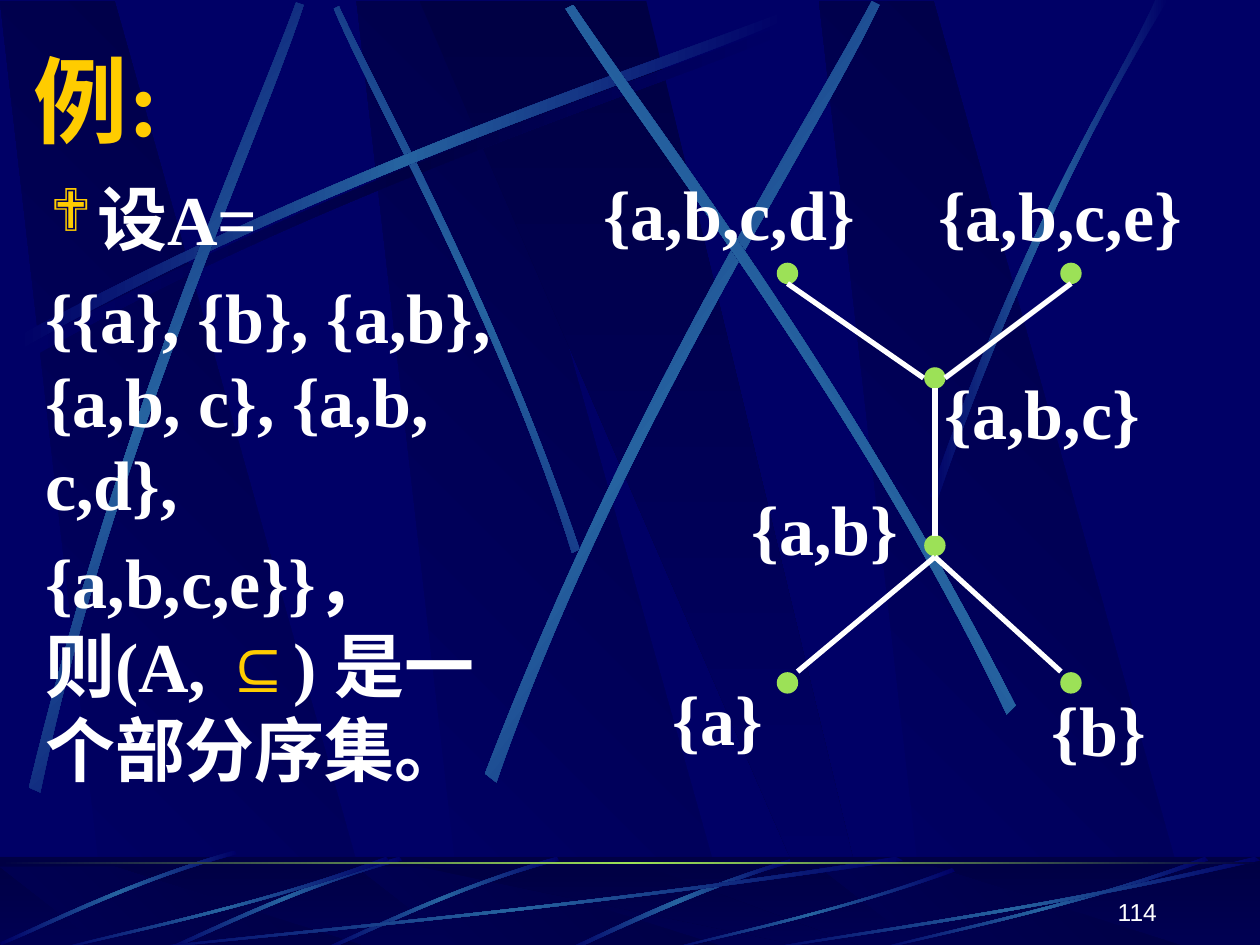
import lxml.etree
import pptx
import pptx.dml.color
import pptx.enum.shapes
import pptx.enum.text
import pptx.oxml.ns
import pptx.util

COLORS = {"navy": "000066", "dark": "000044", "streak": "2663A0", "green": "9CE157",
          "gold": "FFCC00", "white": "FFFFFF"}
SERIF, SANS, CHINESE = "Times New Roman", "Arial", "Noto Sans CJK SC"
GRID = 2.54  # centimetres in one layout unit
SHINE = ("navy", "streak", "navy")
ANCHOR = pptx.enum.text.MSO_ANCHOR
SHAPE = pptx.enum.shapes.MSO_SHAPE

# Long streaks: gradient angle, then two Bezier edges of four points each
LONG_STREAKS = [
    (0, ("navy", "dark", "navy"), [(0.2, 2.75), (2.84, 1.34), (5.24, 0.59), (6.26, 0.18),
                                   (6.29, 0.24), (5.28, 0.69), (2.54, 1.51), (0.23, 2.85)]),
    (45, SHINE, [(4.6, 4.36), (3.91, 2.34), (3.02, 0.77), (2.69, 0.05),
                 (2.65, 0.07), (2.95, 0.79), (3.98, 2.58), (4.54, 4.39)]),
    (0, SHINE, [(0.14, 2.67), (2.78, 1.25), (5.18, 0.51), (6.2, 0.1),
                (6.23, 0.16), (5.22, 0.61), (2.48, 1.43), (0.17, 2.77)]),
    (311.7, SHINE, [(0.23, 6.25), (0.93, 3.34), (1.97, 1.05), (2.35, 0.02),
                    (2.41, 0.04), (2.07, 1.09), (0.86, 3.68), (0.32, 6.29)]),
    (321.6, SHINE, [(3.85, 6.14), (4.98, 3.2), (6.38, 1.02), (6.92, 0.01),
                    (6.98, 0.04), (6.49, 1.08), (4.86, 3.55), (3.94, 6.21)]),
    (34.7, SHINE, [(8.06, 5.6), (6.7, 2.93), (5.16, 0.95), (4.55, 0.04),
                   (4.49, 0.07), (5.07, 1.01), (6.85, 3.25), (7.99, 5.67)]),
    (0, SHINE, [(7.38, 3.94), (8.14, 1.73), (8.88, 0.66), (9.17, 0),
                (9.27, 0), (8.36, 1.45), (7.69, 3.22), (7.44, 3.97)]),
]
FOOTER_STREAK = [(6.27, 6.82), (5.37, 7.09), (4.77, 7.42), (4.48, 7.54),
                 (4.53, 7.55), (4.9, 7.38), (5.71, 7), (6.28, 6.85)]
SHORT_STREAK = [(4.42, 6.8), (3.55, 7.05), (2.87, 7.4), (2.56, 7.53),
                (2.57, 7.55), (2.88, 7.43), (3.65, 7.03), (4.44, 6.83)]
# A fan streak in a unit box, and the boxes it fills
FAN_STREAK = [(1, 0.04), (0.57, 0.57), (0.17, 0.85), (0, 1),
              (0, 0.99), (0.17, 0.81), (0.62, 0.51), (0.99, 0)]
FAN_BOXES = [(1, 6.8, 6.17, 0.75), (0.42, 6.8, 2.67, 0.75), (5.27, 6.89, 2.31, 0.66),
             (6.92, 6.8, 2.67, 0.75), (6, 6.8, 4, 0.75)]

# Hasse diagram: node centres, edges and labels
NODES = [(7.42, 3), (7.42, 4.33), (6.25, 2.17), (8.5, 2.17), (6.25, 5.42), (8.5, 5.42)]
EDGES = [(7.42, 3.08, 7.42, 4.25), (6.25, 2.25, 7.33, 3), (8.5, 2.25, 7.5, 3),
         (7.42, 4.42, 6.33, 5.33), (7.42, 4.42, 8.42, 5.33)]
LABELS = [("{a}", 5.24, 5.18, 1.01), ("{b}", 8.25, 5.27, 1.05), ("{a,b}", 5.87, 3.67, 1.46),
          ("{a,b,c}", 7.4, 2.75, 1.85), ("{a,b,c,d}", 4.69, 1.17, 2.3),
          ("{a,b,c,e}", 7.35, 1.18, 2.23)]


def units(*values):
    return [pptx.util.Cm(value * GRID) for value in values]


def rgb(name):
    return pptx.dml.color.RGBColor.from_string(COLORS[name])


def add_element(parent, tag, **attributes):
    return lxml.etree.SubElement(parent, pptx.oxml.ns.qn(tag), attributes)


def paint(shape, names, angle=0):
    """Fill with one colour, or with a gradient of evenly spaced colours."""
    shape.shadow.inherit = False
    shape.line.fill.background()
    if len(names) == 1:
        shape.fill.solid()
        shape.fill.fore_color.rgb = rgb(names[0])
        return
    shape.fill.gradient()
    shape.fill.gradient_angle = angle
    stops = shape._element.spPr.find(".//" + pptx.oxml.ns.qn("a:gsLst"))
    for stop in list(stops):
        stops.remove(stop)
    for index, name in enumerate(names):
        stop = add_element(stops, "a:gs", pos=str(100000 * index // (len(names) - 1)))
        add_element(stop, "a:srgbClr", val=COLORS[name])


def add_shape(slide, kind, box, names, angle=0):
    shape = slide.shapes.add_shape(kind, *units(*box))
    paint(shape, names, angle)
    return shape


def add_polygon(slide, points, names, angle):
    start, *rest = [units(*point) for point in points]
    builder = slide.shapes.build_freeform(*start)
    builder.add_line_segments(rest)
    shape = builder.convert_to_shape()
    paint(shape, names, angle)
    return shape


def add_streak(slide, points, angle=0, names=SHINE):
    """Draw the eight points as two Bezier edges joined by straight ends."""
    shape = add_polygon(slide, points, names, angle)
    lines = shape._element.spPr.findall(".//" + pptx.oxml.ns.qn("a:lnTo"))
    for edge in (lines[0:3], lines[4:7]):
        curve = lxml.etree.Element(pptx.oxml.ns.qn("a:cubicBezTo"))
        edge[0].addprevious(curve)
        for line in edge:
            curve.append(line[0])
            line.getparent().remove(line)


def add_bands(slide, top, bottom):
    for left in (2.83, 0, 6.5):
        add_polygon(slide, [(left + 0.86, bottom), (left + 3.02, bottom),
                            (left + 0.91, top), (left, top)], ("navy", "dark"), 45)
    add_polygon(slide, [(3.33, top), (6.58, bottom), (6.94, bottom), (5.13, top)],
                ("dark", "navy"), 270)


def add_text_box(slide, box, anchor=ANCHOR.TOP, wrap=True):
    frame = slide.shapes.add_textbox(*units(*box)).text_frame
    frame.word_wrap = wrap
    frame.vertical_anchor = anchor
    return frame


def style(paragraph, size, color="white", name=SERIF, bold=True):
    font = paragraph.font
    font.size, font.name, font.bold = pptx.util.Pt(size), name, bold
    font.color.rgb = rgb(color)
    add_element(font._element, "a:ea", typeface=CHINESE)


def add_background(slide):
    slide.background.fill.solid()
    slide.background.fill.fore_color.rgb = rgb("navy")
    add_bands(slide, 0.01, 7.52)
    for angle, names, points in LONG_STREAKS:
        add_streak(slide, points, angle, names)

    # Footer strip
    strip = (0, 6.8, 10, 0.75)
    add_shape(slide, SHAPE.RECTANGLE, strip, ("dark", "navy"), 270)
    add_bands(slide, 6.88, 7.55)
    veil = add_shape(slide, SHAPE.RECTANGLE, strip, ("dark",))
    color = veil._element.spPr.find(".//" + pptx.oxml.ns.qn("a:srgbClr"))
    add_element(color, "a:alpha", val="50000")
    add_streak(slide, FOOTER_STREAK)
    for shift_x, shift_y in ((0, 0), (-1.25, 0), (-2.56, -0.05)):
        add_streak(slide, [(x + shift_x, y + shift_y) for x, y in SHORT_STREAK])
    for left, top, width, height in FAN_BOXES:
        add_streak(slide, [(left + x * width, top + y * height) for x, y in FAN_STREAK])
    add_shape(slide, SHAPE.RECTANGLE, (0, 6.84, 10, 0.02), ("dark", "green", "dark"))


def add_bullet(paragraph):
    properties = paragraph._p.get_or_add_pPr()
    properties.set("marL", str(pptx.util.Cm(1.05)))
    properties.set("indent", str(pptx.util.Cm(-0.95)))
    add_element(add_element(properties, "a:buClr"), "a:srgbClr", val=COLORS["gold"])
    add_element(properties, "a:buSzPct", val="85000")
    add_element(properties, "a:buFont", typeface="Wingdings", charset="2")
    add_element(properties, "a:buChar", char="❖")


def add_body(slide):
    frame = add_text_box(slide, (0.26, 1.34, 3.92, 5.09))
    texts = ["设A=", "{{a}, {b}, {a,b}, {a,b, c}, {a,b, c,d},", "{a,b,c,e}}， \v则(A, "]
    for index, text in enumerate(texts):
        paragraph = frame.paragraphs[0] if index == 0 else frame.add_paragraph()
        paragraph.text = text
        paragraph.space_before = pptx.util.Pt(8)
        paragraph.line_spacing = pptx.util.Pt(48)
        if index == 0:
            add_bullet(paragraph)
        style(paragraph, 40)
    for text in ("⊆", ") ", "是一个部分序集。"):
        run = paragraph.add_run()
        run.text = text
        if text == "⊆":
            run.font.color.rgb = rgb("gold")


def add_diagram(slide):
    diameter = 0.17
    for x, y in NODES:
        box = (x - diameter / 2, y - diameter / 2, diameter, diameter)
        add_shape(slide, SHAPE.OVAL, box, ("green",))
    for ends in EDGES:
        edge = slide.shapes.add_connector(pptx.enum.shapes.MSO_CONNECTOR.STRAIGHT, *units(*ends))
        edge.line.color.rgb = rgb("white")
        edge.line.width = pptx.util.Pt(3)
        add_element(edge._element.spPr, "a:effectLst")
    for text, left, top, width in LABELS:
        paragraph = add_text_box(slide, (left, top, width, 0.9), wrap=False).paragraphs[0]
        paragraph.text = text
        paragraph.line_spacing = 1.2
        paragraph.space_before = pptx.util.Pt(4)
        style(paragraph, 40)


def main():
    presentation = pptx.Presentation()
    presentation.slide_width, presentation.slide_height = units(10, 7.5)
    slide = presentation.slides.add_slide(presentation.slide_layouts[6])
    add_background(slide)

    # Title
    title = add_text_box(slide, (0.17, 0.28, 9.5, 1), ANCHOR.MIDDLE).paragraphs[0]
    title.text = "例:"
    style(title, 54, "gold")

    add_body(slide)
    add_diagram(slide)

    # Page number
    number = add_text_box(slide, (7.2, 6.9, 2.08, 0.5), ANCHOR.BOTTOM).paragraphs[0]
    number.text = "114"
    number.alignment = pptx.enum.text.PP_ALIGN.RIGHT
    style(number, 14, name=SANS, bold=False)
    presentation.save("out.pptx")


if __name__ == "__main__":
    main()
